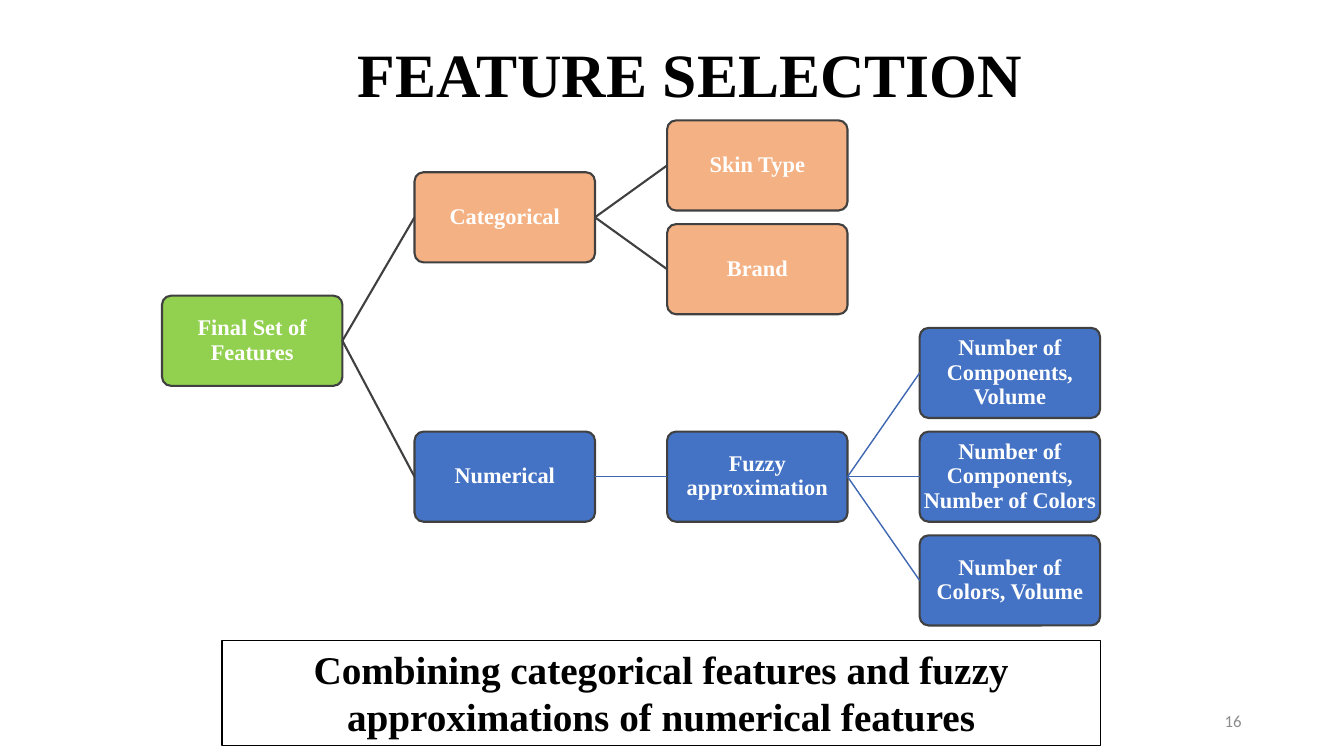
from lxml import etree
from pptx import Presentation
from pptx.dml.color import RGBColor
from pptx.enum.shapes import MSO_CONNECTOR, MSO_SHAPE
from pptx.enum.text import MSO_ANCHOR, PP_ALIGN
from pptx.oxml.ns import qn
from pptx.util import Pt

COLORS = {
    "black": "000000",
    "white": "FFFFFF",
    "grey": "8C8C8C",
    "outline": "404040",
    "link": "3E67B2",
    "green": "92D050",
    "orange": "F4B183",
    "blue": "4472C4",
}
SERIF = "Times New Roman"

NODE_W, NODE_H = 128.9, 64.4
COL_LEFT, COL_STEP = 115.7, 180.4
ROW_CENTER, ROW_STEP = 118.2, 74.1

# key: (text, column, row, fill)
NODES = {
    "root": ("Final Set of Features", 0, 1.69, "green"),
    "categorical": ("Categorical", 1, 0.5, "orange"),
    "skin": ("Skin Type", 2, 0, "orange"),
    "brand": ("Brand", 2, 1, "orange"),
    "numerical": ("Numerical", 1, 3, "blue"),
    "fuzzy": ("Fuzzy approximation", 2, 3, "blue"),
    "components_volume": ("Number of Components, Volume", 3, 2, "blue"),
    "components_colors": ("Number of Components, Number of Colors", 3, 3, "blue"),
    "colors_volume": ("Number of Colors, Volume", 3, 4, "blue"),
}
# parent: (children, line colour, line width)
LINKS = {
    "root": (["categorical", "numerical"], "outline", 1.5),
    "categorical": (["skin", "brand"], "outline", 1.5),
    "numerical": (["fuzzy"], "link", 1),
    "fuzzy": (
        ["components_volume", "components_colors", "colors_volume"], "link", 1),
}


def rgb(name):
    return RGBColor.from_string(COLORS[name])


def write_text(s, text, size, color="black", font=SERIF, bold=True,
               align=PP_ALIGN.CENTER, anchor=MSO_ANCHOR.MIDDLE,
               spacing=None, inset=None):
    tf = s.text_frame
    tf.word_wrap = True
    tf.vertical_anchor = anchor
    if inset is not None:
        tf.margin_left = tf.margin_right = Pt(inset)
        tf.margin_top = tf.margin_bottom = Pt(inset)
    p = tf.paragraphs[0]
    p.alignment = align
    if spacing:
        p.line_spacing = spacing
    r = p.add_run()
    r.text = text
    r.font.name = font
    r.font.size = Pt(size)
    r.font.bold = bold
    r.font.color.rgb = rgb(color)


def add_label(slide, text, left, top, width, height, **text_format):
    s = slide.shapes.add_textbox(Pt(left), Pt(top), Pt(width), Pt(height))
    write_text(s, text, **text_format)
    return s


def add_node(slide, text, col, row, fill):
    s = slide.shapes.add_shape(
        MSO_SHAPE.ROUNDED_RECTANGLE,
        Pt(COL_LEFT + col * COL_STEP),
        Pt(ROW_CENTER + row * ROW_STEP - NODE_H / 2),
        Pt(NODE_W), Pt(NODE_H))
    s.adjustments[0] = 0.1
    s.shadow.inherit = False
    s.fill.solid()
    s.fill.fore_color.rgb = rgb(fill)
    s.line.color.rgb = rgb("outline")
    s.line.width = Pt(1.5)
    write_text(s, text, size=16, color="white", spacing=0.9, inset=0.7)
    return s


def add_link(slide, parent, child, color, width):
    """Join the right side of parent to the left side of child."""
    s = slide.shapes.add_connector(MSO_CONNECTOR.STRAIGHT, 0, 0, 0, 0)
    s.begin_connect(parent, 3)
    s.end_connect(child, 1)
    s.line.color.rgb = rgb(color)
    s.line.width = Pt(width)
    etree.SubElement(s._element.spPr, qn("a:effectLst"))


def main():
    prs = Presentation()
    prs.slide_width, prs.slide_height = Pt(960), Pt(540)
    slide = prs.slides.add_slide(prs.slide_layouts[6])

    add_label(slide, "FEATURE SELECTION", 115.2, -2.9, 756, 116.6,
              size=44, spacing=0.9)
    add_label(slide, "16", 678, 500.5, 216, 28.8, size=12, color="grey",
              font="Calibri", bold=False, align=PP_ALIGN.RIGHT)

    nodes = {key: add_node(slide, *node) for key, node in NODES.items()}
    for parent, (children, color, width) in LINKS.items():
        for child in children:
            add_link(slide, nodes[parent], nodes[child], color, width)

    summary = add_label(
        slide,
        "Combining categorical features and fuzzy approximations of "
        "numerical features",
        158.6, 457.6, 627.2, 74.9, size=28, anchor=MSO_ANCHOR.TOP)
    summary.line.color.rgb = rgb("black")
    summary.line.width = Pt(0.75)

    prs.save("out.pptx")


if __name__ == "__main__":
    main()
